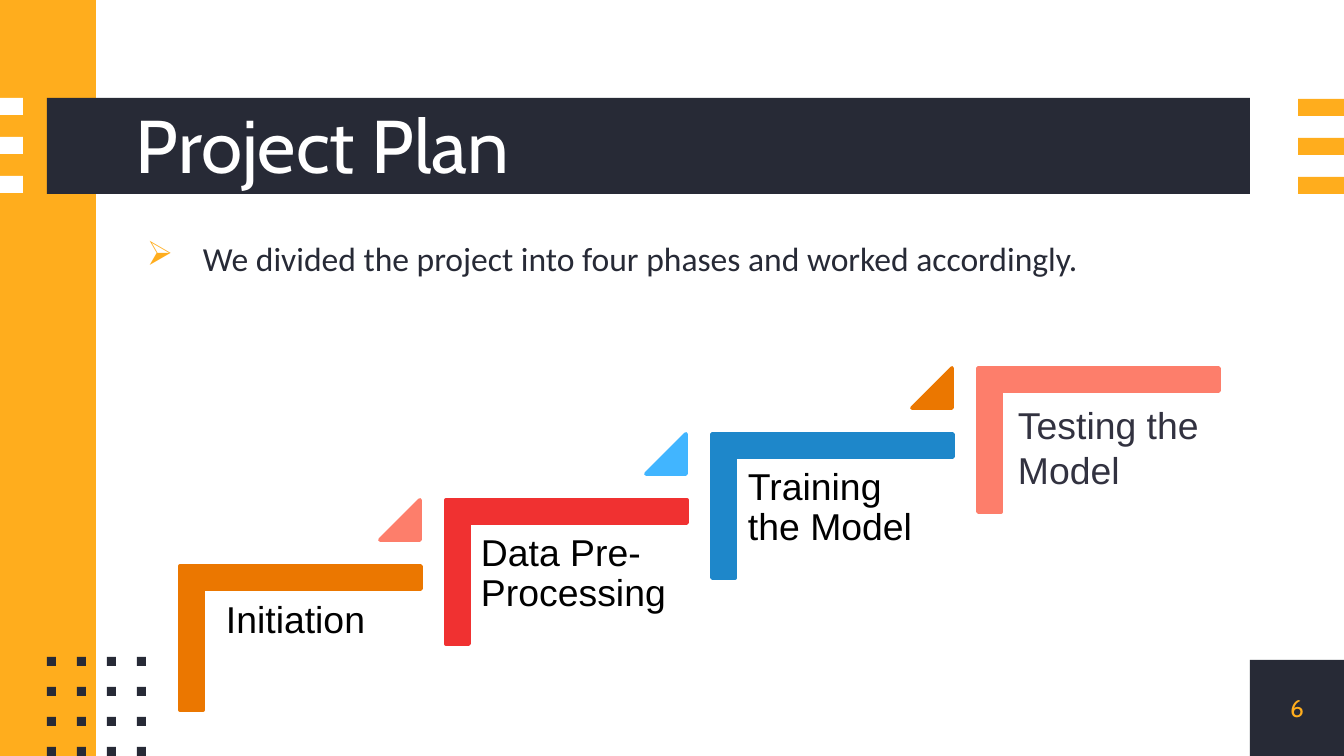
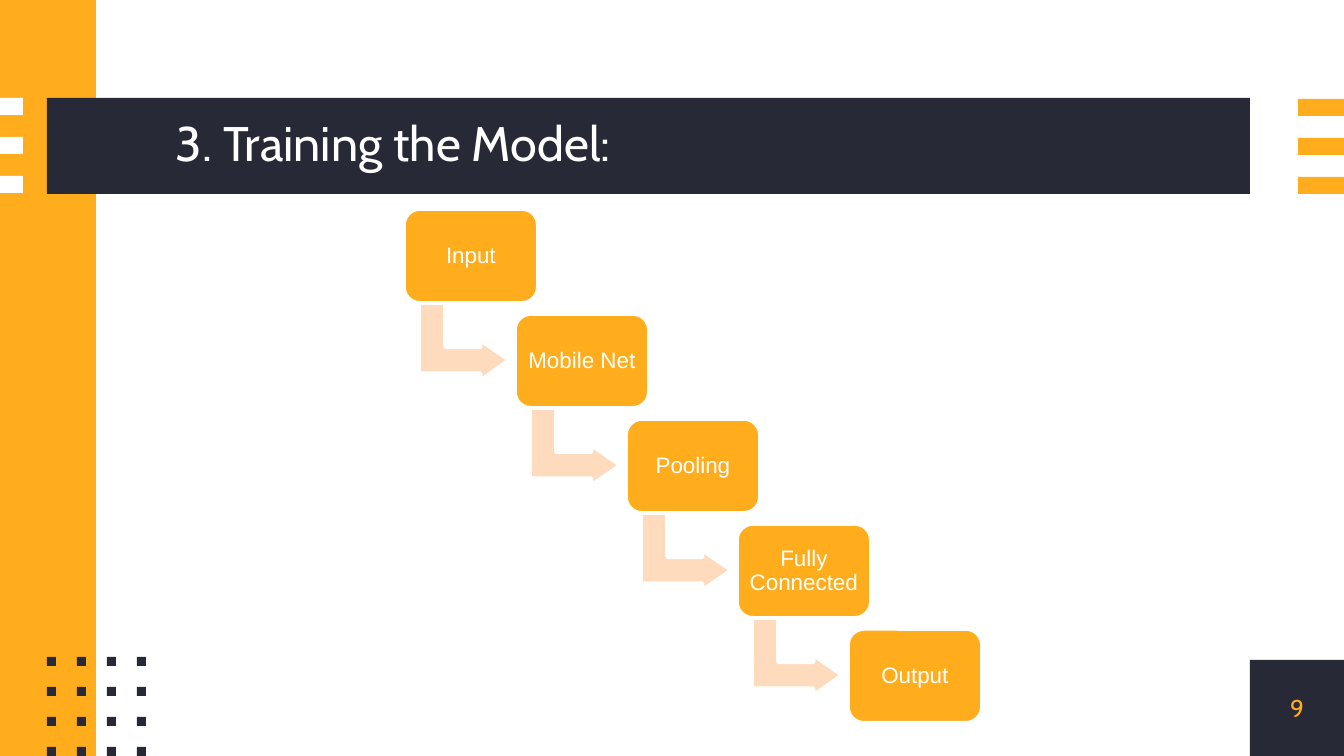
from lxml import etree
from pptx import Presentation
from pptx import util as u
from pptx.dml.color import RGBColor
from pptx.enum import shapes, text
from pptx.oxml import ns

# Colours and fonts
INK = RGBColor(0x27, 0x2A, 0x36)
AMBER = RGBColor(0xFF, 0xAD, 0x1D)
WHITE = RGBColor(0xFF, 0xFF, 0xFF)
BLACK = RGBColor(0x00, 0x00, 0x00)
SLATE = RGBColor(0x32, 0x32, 0x40)
ORANGE = RGBColor(0xEB, 0x77, 0x00)
RED = RGBColor(0xF0, 0x31, 0x31)
BLUE = RGBColor(0x1E, 0x87, 0xCA)
SKY = RGBColor(0x41, 0xB5, 0xFF)
CORAL = RGBColor(0xFD, 0x7E, 0x6B)
PEACH = RGBColor(0xFF, 0xDB, 0xBD)
HEAD_FONT, BODY_FONT, LABEL_FONT = "Cabin", "Calibri", "Arial"

# Content
PLAN = {"title": "Project Plan", "size": 40, "at": (136, 97, 1153, 104), "number": "6"}
TRAINING = {"title": "3. Training the Model:", "size": 26, "at": (176, 98, 1074, 95), "number": "9"}
PLAN_POINT = "We divided the project into four phases and worked accordingly."
# label, bracket colour, colour of the triangle that follows, label offset, label format
TIGHT = {"spacing": 0.9, "inset": (11, 11), "color": BLACK}
LOOSE = {"spacing": 1.0, "inset": (13, 7), "color": SLATE}
PHASES = [
    ("Initiation", ORANGE, CORAL, (35, 24), TIGHT),
    ("Data Pre-Processing", RED, SKY, (24, 23), TIGHT),
    ("Training the Model", BLUE, ORANGE, (25, 23), TIGHT),
    ("Testing the Model", CORAL, None, (27, 27), LOOSE),
]
LAYERS = ["Input", "Mobile Net", "Pooling", "Fully Connected", "Output"]

# Geometry in px
PAGE_W, PAGE_H = 1344, 756
SCALE = u.Inches(10) / PAGE_W
STAIR = {"left": 180, "top": 566, "dx": 266, "dy": -66, "width": 241, "height": 144}
FLOW = {"left": 404, "top": 209, "dx": 111, "dy": 105, "width": 134, "height": 94}


def emu(px):
    return u.Emu(round(px * SCALE))


def place(item, at):
    for name, px in zip(("left", "top", "width", "height"), at):
        setattr(item, name, emu(px))


def add_shape(page, kind, at, fill, line=None, adjust=(), turned=False):
    """Add a filled shape; a turned one covers `at` after a quarter turn."""
    left, top, width, height = at
    if turned:
        left, top = left + (width - height) / 2, top + (height - width) / 2
        width, height = height, width
    shape = page.shapes.add_shape(kind, *map(emu, (left, top, width, height)))
    shape.rotation = 90 if turned else 0
    shape.shadow.inherit = False
    shape.fill.solid()
    shape.fill.fore_color.rgb = fill
    if line is None:
        shape.line.fill.background()
    else:
        shape.line.color.rgb = line
        shape.line.width = u.Pt(2)
    for index, value in enumerate(adjust):
        shape.adjustments[index] = value
    return shape


def add_rect(page, at, fill):
    return add_shape(page, shapes.MSO_SHAPE.RECTANGLE, at, fill)


def write(item, words, size, font, color, spacing=1.0, inset=(0, 0),
          align=text.PP_ALIGN.LEFT, anchor=text.MSO_ANCHOR.MIDDLE):
    frame = item.text_frame
    across, down = map(emu, inset)
    frame_format = {
        "word_wrap": True, "auto_size": text.MSO_AUTO_SIZE.NONE, "vertical_anchor": anchor,
        "margin_left": across, "margin_right": across, "margin_top": down, "margin_bottom": down,
    }
    for name, value in frame_format.items():
        setattr(frame, name, value)
    para = frame.paragraphs[0]
    para.alignment, para.line_spacing = align, spacing
    span = para.add_run()
    span.text = words
    for name, value in {"size": u.Pt(size), "name": font}.items():
        setattr(span.font, name, value)
    span.font.color.rgb = color
    return para


def add_text(page, at, words, size, font, color, **layout):
    box = page.shapes.add_textbox(*map(emu, at))
    return write(box, words, size, font, color, **layout)


def add_bullet(para, mark, color, margin, indent):
    props = para._p.get_or_add_pPr()
    props.set("marL", str(emu(margin)))
    props.set("indent", str(emu(indent)))
    tint = etree.SubElement(props, ns.qn("a:buClr"))
    etree.SubElement(tint, ns.qn("a:srgbClr"), val=str(color))
    etree.SubElement(props, ns.qn("a:buChar"), char=mark)


def add_page(deck, heading):
    """Add a slide with the shared bands, stripes, dots, title and number."""
    page = deck.slides.add_slide(deck.slide_layouts[5])
    page.background.fill.solid()
    page.background.fill.fore_color.rgb = WHITE
    corner = add_rect(page, (1250, 660, 94, 96), INK)
    add_rect(page, (0, 0, 96, PAGE_H), AMBER)
    add_rect(page, (47, 98, 1203, 96), INK)
    for left, top, width, color in ((0, 98, 23, WHITE), (1298, 99, 46, AMBER)):
        for row in range(3):
            add_rect(page, (left, top + 39 * row, width, 17), color)
    for row in range(4):
        for column in range(4):
            add_rect(page, (47 + 30 * column, 657 + 30 * row, 9, 9), INK)
    title = page.shapes.title
    page.shapes.element.append(title.element)  # bring the title above the band
    place(title, heading["at"])
    write(title, heading["title"], heading["size"], HEAD_FONT, WHITE, spacing=0.9)
    write(corner, heading["number"], 13, HEAD_FONT, AMBER, align=text.PP_ALIGN.CENTER)
    return page


def grid_spot(grid, index):
    return grid["left"] + grid["dx"] * index, grid["top"] + grid["dy"] * index


def build_plan(deck):
    page = add_page(deck, PLAN)
    para = add_text(page, (136, 235, 1074, 95), PLAN_POINT, 18, BODY_FONT, INK,
                    spacing=1.07, anchor=text.MSO_ANCHOR.TOP)
    para.space_before, para.space_after = u.Pt(6), u.Pt(8)
    add_bullet(para, "➢", AMBER, 67, -56)
    # Staircase of phases
    for index, (label, color, next_color, (dx, dy), style) in enumerate(PHASES):
        left, top = grid_spot(STAIR, index)
        add_shape(page, shapes.MSO_SHAPE.CORNER, (left, top, STAIR["width"], STAIR["height"]),
                  color, color, (0.16, 0.16), turned=True)
        add_text(page, (left + dx, top + dy, 215, 120), label, 20, LABEL_FONT,
                 anchor=text.MSO_ANCHOR.TOP, **style)
        if next_color is not None:
            add_shape(page, shapes.MSO_SHAPE.ISOSCELES_TRIANGLE,
                      (left + 200, top + STAIR["dy"], 40, 40), next_color, next_color, (1,))


def build_training(deck):
    page = add_page(deck, TRAINING)
    # Layers stepping down, each leading to the next
    for index, label in enumerate(LAYERS):
        left, top = grid_spot(FLOW, index)
        if index < len(LAYERS) - 1:
            add_shape(page, shapes.MSO_SHAPE.BENT_UP_ARROW, (left + 15, top + 92, 90, 79),
                      PEACH, WHITE, (0.33, 0.25, 0.36), turned=True)
        box = add_shape(page, shapes.MSO_SHAPE.ROUNDED_RECTANGLE,
                        (left, top, FLOW["width"], FLOW["height"]), AMBER, WHITE, (0.17,))
        write(box, label, 12, LABEL_FONT, WHITE, spacing=0.9, inset=(6, 6),
              align=text.PP_ALIGN.CENTER)


def main():
    deck = Presentation()
    deck.slide_width, deck.slide_height = emu(PAGE_W), emu(PAGE_H)
    build_plan(deck)
    build_training(deck)
    deck.save("out.pptx")


if __name__ == "__main__":
    main()
